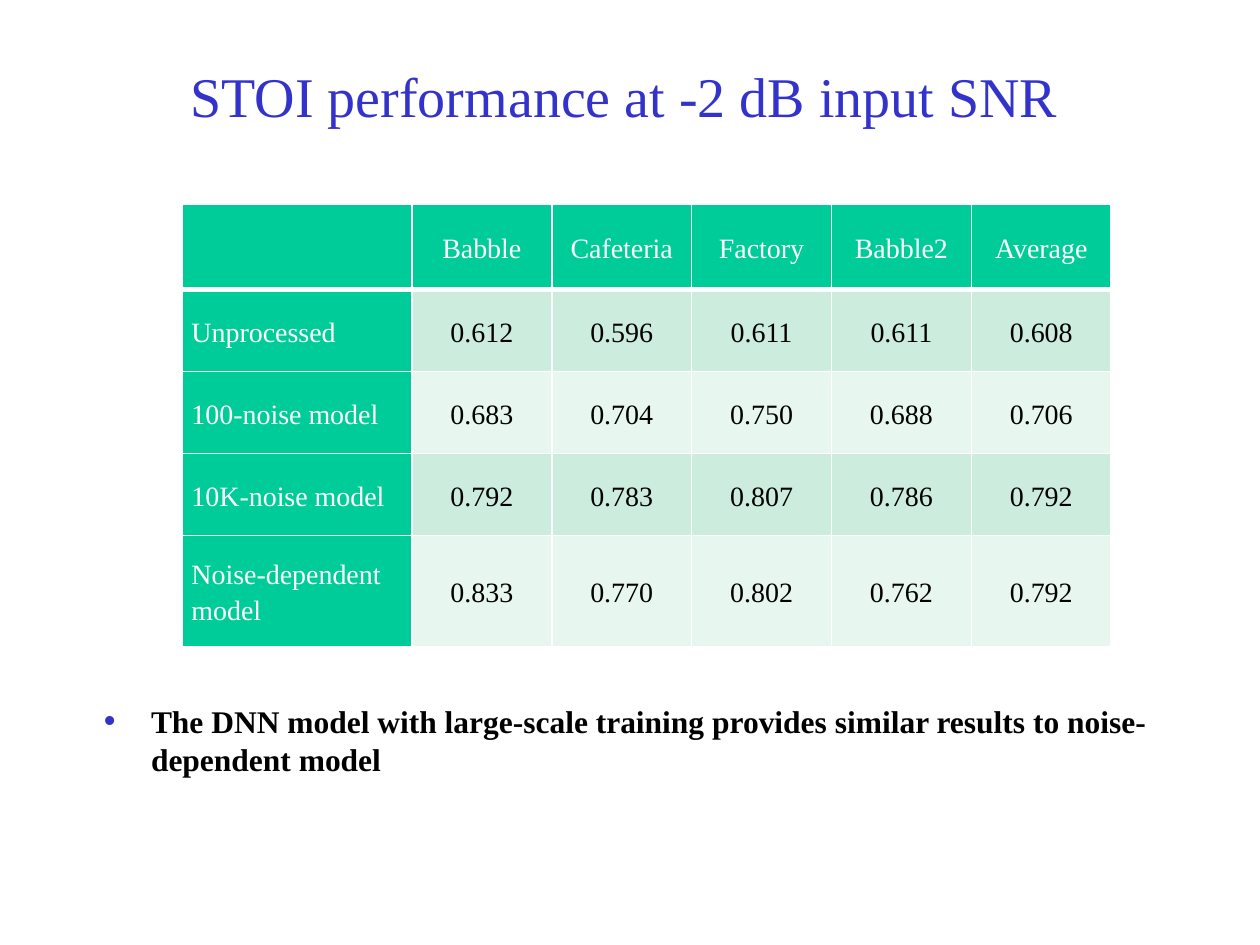
from dataclasses import dataclass

from lxml.etree import SubElement
from pptx import Presentation
from pptx.dml.color import RGBColor
from pptx.enum.text import MSO_ANCHOR as Anchor, PP_ALIGN as Align
from pptx.oxml import parse_xml
from pptx.oxml.ns import nsdecls, qn
from pptx.util import Inches, Pt


@dataclass(frozen=True)
class Theme:
    font: str = "Times New Roman"
    accent: str = "3333CC"
    header: str = "00CC99"
    bands: tuple = ("CCECDE", "E7F6EF")
    white: str = "FFFFFF"
    black: str = "000000"
    title_size: int = 32
    table_size: int = 16
    body_size: int = 18


theme = Theme()


def add_span(para, text, size, color, bold=False):
    span = para.add_run()
    span.text = text
    span.font.name = theme.font
    span.font.size = Pt(size)
    span.font.bold = bold
    span.font.color.rgb = RGBColor.from_string(color)


def set_borders(cell, bottom):
    properties = cell._tc.get_or_add_tcPr()
    for index, (side, width) in enumerate(zip("LRTB", (1, 1, 1, bottom))):
        properties.insert(index, parse_xml(
            f'<a:ln{side} {nsdecls("a")} w="{Pt(width)}"><a:solidFill>'
            f'<a:srgbClr val="{theme.white}"/></a:solidFill></a:ln{side}>'))


deck = Presentation()
deck.slide_width, deck.slide_height = Inches(10), Inches(7.5)
page = deck.slides.add_slide(deck.slide_layouts[6])

# Title
box = page.shapes.add_textbox(Inches(0.58), Inches(0.42), Inches(8.75), Inches(0.67))
box.text_frame.word_wrap = True
box.text_frame.vertical_anchor = Anchor.MIDDLE
para = box.text_frame.paragraphs[0]
para.alignment = Align.CENTER
add_span(para, "STOI performance at -2 dB input SNR", theme.title_size, theme.accent)

# STOI scores by model and noise
scores = [
    ("", "Babble", "Cafeteria", "Factory", "Babble2", "Average"),
    ("Unprocessed", "0.612", "0.596", "0.611", "0.611", "0.608"),
    ("100-noise model", "0.683", "0.704", "0.750", "0.688", "0.706"),
    ("10K-noise model", "0.792", "0.783", "0.807", "0.786", "0.792"),
    ("Noise-dependent model", "0.833", "0.770", "0.802", "0.762", "0.792"),
]
column_widths = [1.82] + [1.11] * 5
row_heights = [0.68] + [0.65] * 3 + [0.88]
table = page.shapes.add_table(
    len(scores), len(column_widths), Inches(1.45), Inches(1.62),
    Inches(sum(column_widths)), Inches(sum(row_heights))).table
for column, width in zip(table.columns, column_widths):
    column.width = Inches(width)
for row, height in zip(table.rows, row_heights):
    row.height = Inches(height)

for r, values in enumerate(scores):
    for c, value in enumerate(values):
        cell = table.cell(r, c)
        is_header = r == 0 or c == 0
        fill = theme.header if is_header else theme.bands[(r - 1) % 2]
        cell.fill.solid()
        cell.fill.fore_color.rgb = RGBColor.from_string(fill)
        set_borders(cell, bottom=3 if r == 0 else 1)
        cell.vertical_anchor = Anchor.MIDDLE
        cell.margin_left = cell.margin_right = Inches(0.07)
        cell.margin_top = cell.margin_bottom = 0
        if value:
            para = cell.text_frame.paragraphs[0]
            para.alignment = Align.CENTER if c else Align.LEFT
            para.line_spacing = 1.15
            add_span(para, value, theme.table_size,
                     theme.white if is_header else theme.black)

# Conclusion bullet
box = page.shapes.add_textbox(Inches(0.72), Inches(5.52), Inches(8.75), Inches(1.11))
box.text_frame.word_wrap = True
para = box.text_frame.paragraphs[0]
para.space_before = Pt(0.2 * theme.body_size)
properties = para._p.get_or_add_pPr()
properties.set("marL", str(Inches(0.38)))
properties.set("indent", str(Inches(-0.38)))
bullet_color = SubElement(properties, qn("a:buClr"))
SubElement(bullet_color, qn("a:srgbClr"), val=theme.accent)
SubElement(properties, qn("a:buSzPct"), val="120000")
SubElement(properties, qn("a:buFont"), typeface=theme.font)
SubElement(properties, qn("a:buChar"), char="•")
add_span(para, "The DNN model with large-scale training provides similar results "
         "to noise-dependent model", theme.body_size, theme.black, bold=True)

deck.save("out.pptx")
